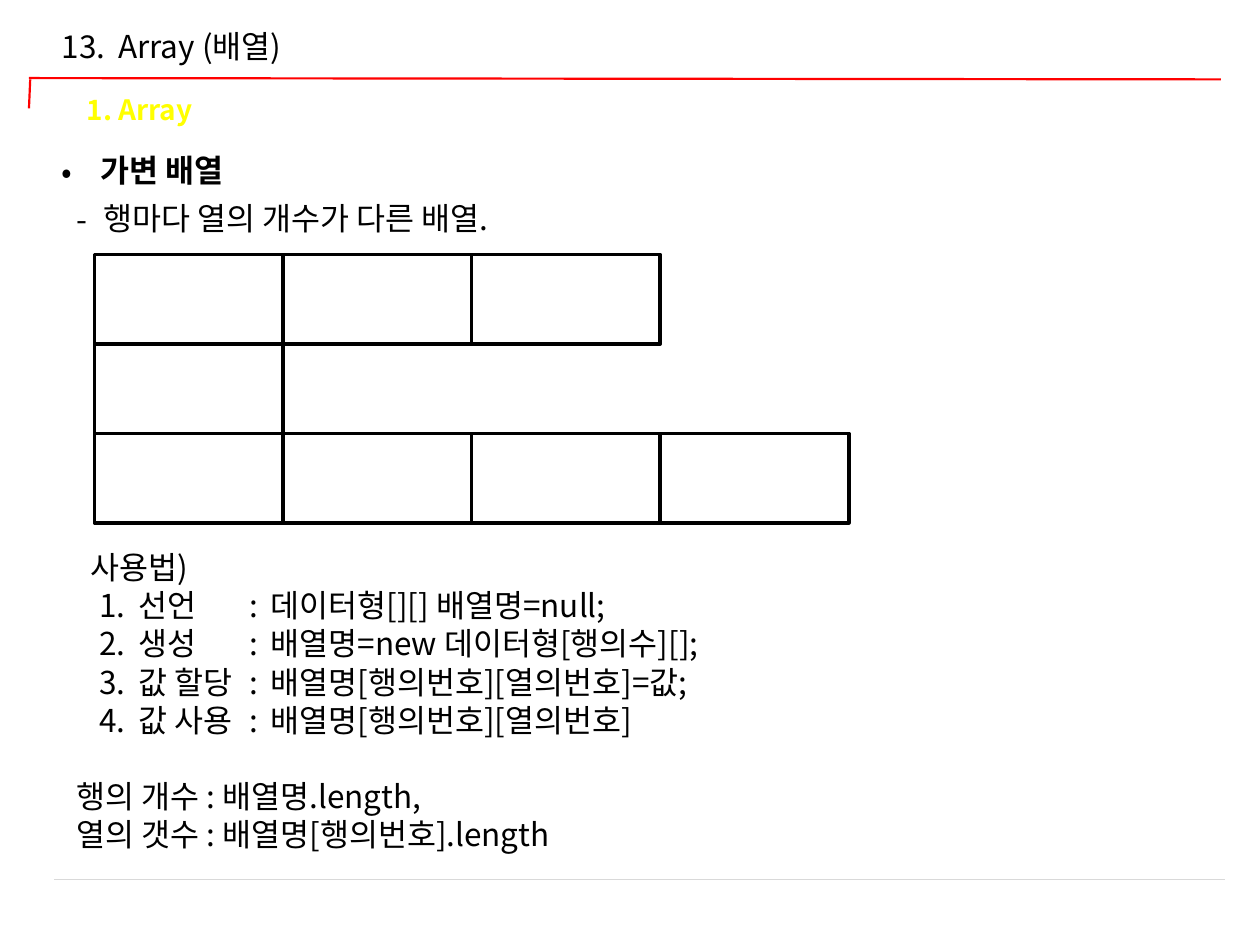
"""Build the slide on jagged arrays, laid out on a grid of 100 columns by 75 rows."""
from dataclasses import dataclass

from lxml import etree
from pptx import Presentation, util as u
from pptx.dml.color import RGBColor
from pptx.enum import shapes, text
from pptx.oxml.ns import qn

FONT = "Noto Sans CJK KR"
BLACK = RGBColor(0x00, 0x00, 0x00)
WHITE = RGBColor(0xFF, 0xFF, 0xFF)
RED = RGBColor(0xFF, 0x00, 0x00)
YELLOW = RGBColor(0xFF, 0xFF, 0x00)
GREY = RGBColor(0xD9, 0xD9, 0xD9)

WIDTH, HEIGHT = u.Inches(10), u.Inches(7.5)
COLUMNS = 100
LINE_PITCH = 1.21

ROW_LENGTHS = (3, 1, 4)
ARRAY_LEFT, ARRAY_TOP = 7.5, 20.2
CELL_WIDTH, CELL_HEIGHT = 14.97, 7.1


@dataclass(frozen=True)
class Rule:
    start: tuple[float, float]
    end: tuple[float, float]
    color: RGBColor
    points: float


@dataclass(frozen=True)
class Line:
    words: str
    indent: float = 0
    bullet: str = ""
    tabs: tuple[float, ...] = ()
    space_before: float = 0


@dataclass(frozen=True)
class Block:
    box: tuple[float, float, float, float]
    lines: tuple[Line, ...]
    size: float = 18
    color: RGBColor = BLACK
    bold: bool = False


STEP_TABS = (1.8, 4.9, 13.7, 15.4)
STEPS = (
    ("선언", "데이터형[][] 배열명=null;"),
    ("생성", "배열명=new 데이터형[행의수][];"),
    ("값 할당", "배열명[행의번호][열의번호]=값;"),
    ("값 사용", "배열명[행의번호][열의번호]"),
)
USAGE = (
    Line("사용법)", indent=1.1),
    *(Line(f"\t{number}.\t{name}\t:\t{code}", tabs=STEP_TABS)
      for number, (name, code) in enumerate(STEPS, 1)),
    Line("행의 개수 : 배열명.length,", space_before=18 * LINE_PITCH),
    Line("열의 갯수 : 배열명[행의번호].length"),
)
RULES = (
    Rule((2.3, 6.2), (96.9, 6.3), RED, 1.25),
    Rule((2.4, 6.3), (2.3, 8.6), RED, 1.25),
    Rule((4.3, 69.8), (97.2, 69.8), GREY, 0.75),
)
BLOCKS = (
    Block((3.9, 1.6, 50.8, 4), (Line("13.\tArray (배열)", tabs=(4.5,)),)),
    Block((5.9, 6.8, 57.5, 3.7), (Line("1. Array"),), 16, YELLOW, True),
    Block((3.9, 11.5, 88.6, 4), (Line("가변 배열", 3.1, "•"),), bold=True),
    Block((5.1, 15.3, 92.9, 4), (Line("행마다 열의 개수가 다른 배열.", 2.1, "-"),)),
    Block((5.1, 43, 92.9, 25.2), USAGE),
)


def grid(cells: float) -> int:
    """Return the length of a number of grid cells."""
    return round(WIDTH * cells / COLUMNS)


def apply(target, values: dict) -> None:
    """Set each named attribute on the target."""
    for name, value in values.items():
        setattr(target, name, value)


def draw_rule(slide, rule: Rule) -> None:
    """Draw a straight rule without a shadow."""
    ends = map(grid, rule.start + rule.end)
    connector = slide.shapes.add_connector(shapes.MSO_CONNECTOR.STRAIGHT, *ends)
    connector.line.color.rgb = rule.color
    connector.line.width = u.Pt(rule.points)
    properties = connector.element.find(qn("p:spPr"))
    etree.SubElement(properties, qn("a:effectLst"))


def draw_cell(slide, row: int, column: int) -> None:
    """Draw one cell of the jagged array."""
    box = (ARRAY_LEFT + column * CELL_WIDTH, ARRAY_TOP + row * CELL_HEIGHT,
           CELL_WIDTH, CELL_HEIGHT)
    shape = slide.shapes.add_shape(shapes.MSO_SHAPE.RECTANGLE, *map(grid, box))
    shape.shadow.inherit = False
    shape.fill.solid()
    shape.fill.fore_color.rgb = WHITE
    shape.line.color.rgb = BLACK
    shape.line.width = u.Pt(2)


def format_paragraph(paragraph, line: Line) -> None:
    """Give a paragraph its indent, bullet and tab stops."""
    properties = paragraph._p.get_or_add_pPr()
    properties.set("marL", str(grid(line.indent)))
    if line.bullet:
        properties.set("indent", str(-grid(line.indent)))
        etree.SubElement(properties, qn("a:buFont"), typeface=FONT)
        etree.SubElement(properties, qn("a:buChar"), char=line.bullet)
    if line.tabs:
        stops = etree.SubElement(properties, qn("a:tabLst"))
        for tab in line.tabs:
            etree.SubElement(stops, qn("a:tab"), pos=str(grid(tab)), algn="l")


def draw_block(slide, block: Block) -> None:
    """Draw a text box with one paragraph for each line."""
    frame = slide.shapes.add_textbox(*map(grid, block.box)).text_frame
    apply(frame, {"word_wrap": True,
                  "auto_size": text.MSO_AUTO_SIZE.SHAPE_TO_FIT_TEXT})
    for index, line in enumerate(block.lines):
        paragraph = frame.add_paragraph() if index else frame.paragraphs[0]
        apply(paragraph, {"line_spacing": u.Pt(block.size * LINE_PITCH),
                          "space_before": u.Pt(line.space_before)})
        format_paragraph(paragraph, line)
        run = paragraph.add_run()
        run.text = line.words
        apply(run.font, {"name": FONT, "size": u.Pt(block.size), "bold": block.bold})
        run.font.color.rgb = block.color
        etree.SubElement(run._r.get_or_add_rPr(), qn("a:ea"), typeface=FONT)


def main() -> None:
    """Build and save the presentation."""
    presentation = Presentation()
    apply(presentation, {"slide_width": WIDTH, "slide_height": HEIGHT})
    slide = presentation.slides.add_slide(presentation.slide_layouts[6])
    for rule in RULES:
        draw_rule(slide, rule)
    for row, length in enumerate(ROW_LENGTHS):
        for column in range(length):
            draw_cell(slide, row, column)
    for block in BLOCKS:
        draw_block(slide, block)
    presentation.save("out.pptx")


if __name__ == "__main__":
    main()
